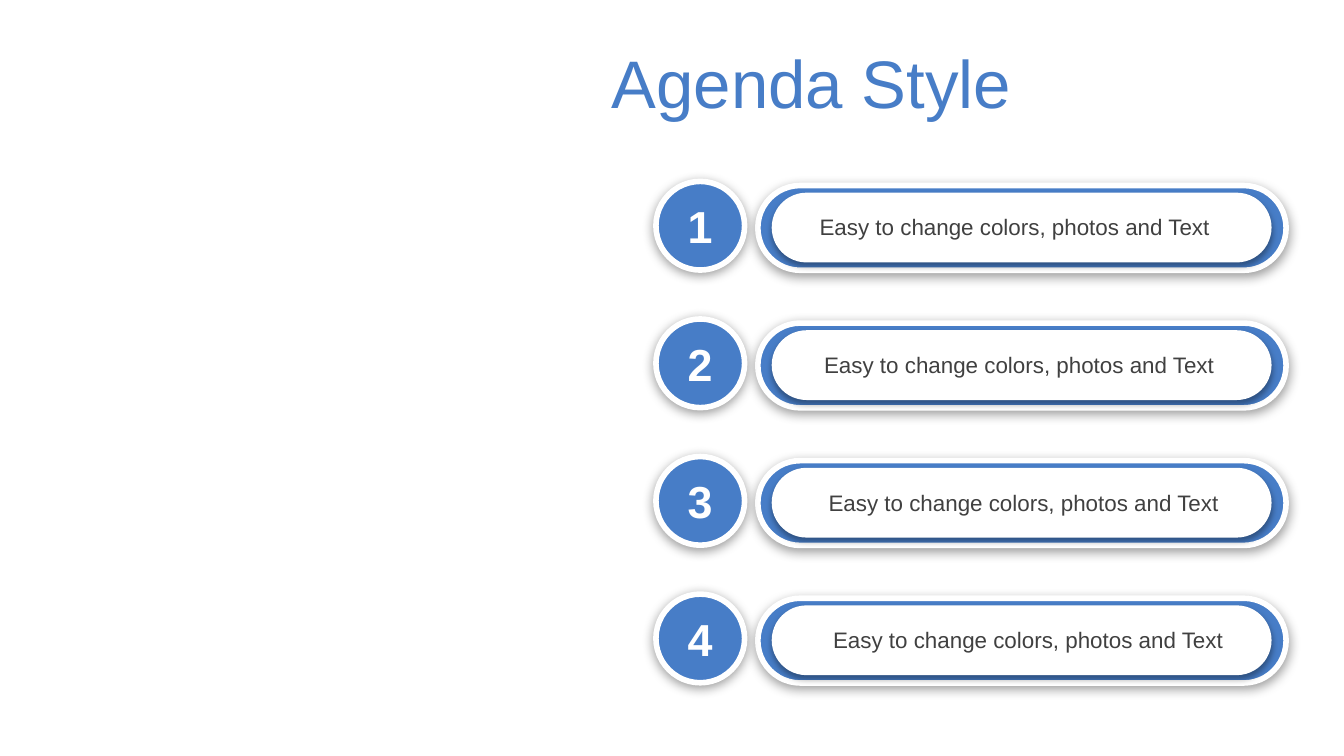
from dataclasses import dataclass

from lxml import etree
from pptx import Presentation
from pptx.dml.color import RGBColor
from pptx.enum import shapes, text
from pptx.oxml import ns
from pptx.util import Pt


@dataclass(frozen=True)
class Theme:
    font: str = "Arial"
    accent: str = "477DC7"
    white: str = "FFFFFF"
    body: str = "404040"
    shadow: str = "000000"
    title_size: float = 36
    number_size: float = 24
    body_size: float = 12
    border: float = 3


@dataclass(frozen=True)
class Shadow:
    opacity: int
    blur: float
    distance: float


OUTER_SHADOW = Shadow(38, 6, 1.6)
INNER_SHADOW = Shadow(35, 3.1, 1.8)
LABELS = ["Easy to change colors, photos and Text"] * 4
ROW_TOP = 97.2
ROW_STEP = 73.7
LABEL_SHIFT = 2.4


class AgendaSlide:
    def __init__(self, prs, theme):
        self.theme = theme
        self.slide = prs.slides.add_slide(prs.slide_layouts[5])

    def place(self, sp, left, top, width, height):
        sp.left, sp.top = Pt(left), Pt(top)
        sp.width, sp.height = Pt(width), Pt(height)

    def set_text(self, sp, content, size, color, align, anchor, bold=False, wrap=True):
        tf = sp.text_frame
        tf.text = content
        tf.word_wrap = wrap
        tf.vertical_anchor = anchor
        p = tf.paragraphs[0]
        p.alignment = align
        font = p.runs[0].font
        font.name = self.theme.font
        font.size = Pt(size)
        font.bold = bold
        font.color.rgb = RGBColor.from_string(color)

    def title(self, content, *box):
        sp = self.slide.shapes.title
        self.place(sp, *box)
        self.set_text(sp, content, self.theme.title_size, self.theme.accent,
                      text.PP_ALIGN.LEFT, text.MSO_ANCHOR.MIDDLE)
        sp.text_frame.auto_size = text.MSO_AUTO_SIZE.NONE

    def text_box(self, content, box, *style, **options):
        sp = self.slide.shapes.add_textbox(*map(Pt, box))
        self.set_text(sp, content, *style, **options)
        sp.text_frame.auto_size = text.MSO_AUTO_SIZE.SHAPE_TO_FIT_TEXT

    def drop_shadow(self, sp, shadow):
        sp.shadow.inherit = False
        effects = sp._element.spPr.find(ns.qn("a:effectLst"))
        outer = etree.SubElement(
            effects, ns.qn("a:outerShdw"), blurRad=str(Pt(shadow.blur)),
            dist=str(Pt(shadow.distance)), dir="5400000", algn="t", rotWithShape="0")
        color = etree.SubElement(outer, ns.qn("a:srgbClr"), val=self.theme.shadow)
        etree.SubElement(color, ns.qn("a:alpha"), val=str(shadow.opacity * 1000))

    def shape(self, parent, kind, box, fill, shadow, border=False):
        sp = parent.shapes.add_shape(kind, *map(Pt, box))
        sp.fill.solid()
        sp.fill.fore_color.rgb = RGBColor.from_string(fill)
        if border:
            sp.line.color.rgb = RGBColor.from_string(self.theme.white)
            sp.line.width = Pt(self.theme.border)
        else:
            sp.line.fill.background()
        if kind == shapes.MSO_SHAPE.ROUNDED_RECTANGLE:
            sp.adjustments[0] = 0.5
        self.drop_shadow(sp, shadow)

    def pill(self, top):
        group = self.slide.shapes.add_group_shape()
        kind = shapes.MSO_SHAPE.ROUNDED_RECTANGLE
        self.shape(group, kind, (406, top + 2.2, 283, 45.4),
                   self.theme.accent, OUTER_SHADOW, border=True)
        self.shape(group, kind, (413.4, top + 6, 267.8, 37.4),
                   self.theme.white, INNER_SHADOW)

    def badge(self, number, top):
        self.shape(self.slide, shapes.MSO_SHAPE.OVAL, (351.4, top, 47.5, 47.5),
                   self.theme.accent, OUTER_SHADOW, border=True)
        self.text_box(str(number), (358.8, top + 5.8, 32.4, 36),
                      self.theme.number_size, self.theme.white,
                      text.PP_ALIGN.CENTER, text.MSO_ANCHOR.MIDDLE, bold=True)

    def agenda_item(self, index, label):
        top = ROW_TOP + index * ROW_STEP
        self.pill(top)
        self.text_box(label, (432 + index * LABEL_SHIFT, top + 13.7, 225.4, 21.6),
                      self.theme.body_size, self.theme.body,
                      text.PP_ALIGN.LEFT, text.MSO_ANCHOR.TOP, wrap=False)
        self.badge(index + 1, top)


def main():
    prs = Presentation()
    prs.slide_width, prs.slide_height = Pt(720), Pt(405)
    s = AgendaSlide(prs, Theme())
    s.title("Agenda Style", 320.4, 21, 399.6, 45.4)
    for index, label in enumerate(LABELS):
        s.agenda_item(index, label)
    prs.save("out.pptx")


if __name__ == "__main__":
    main()
